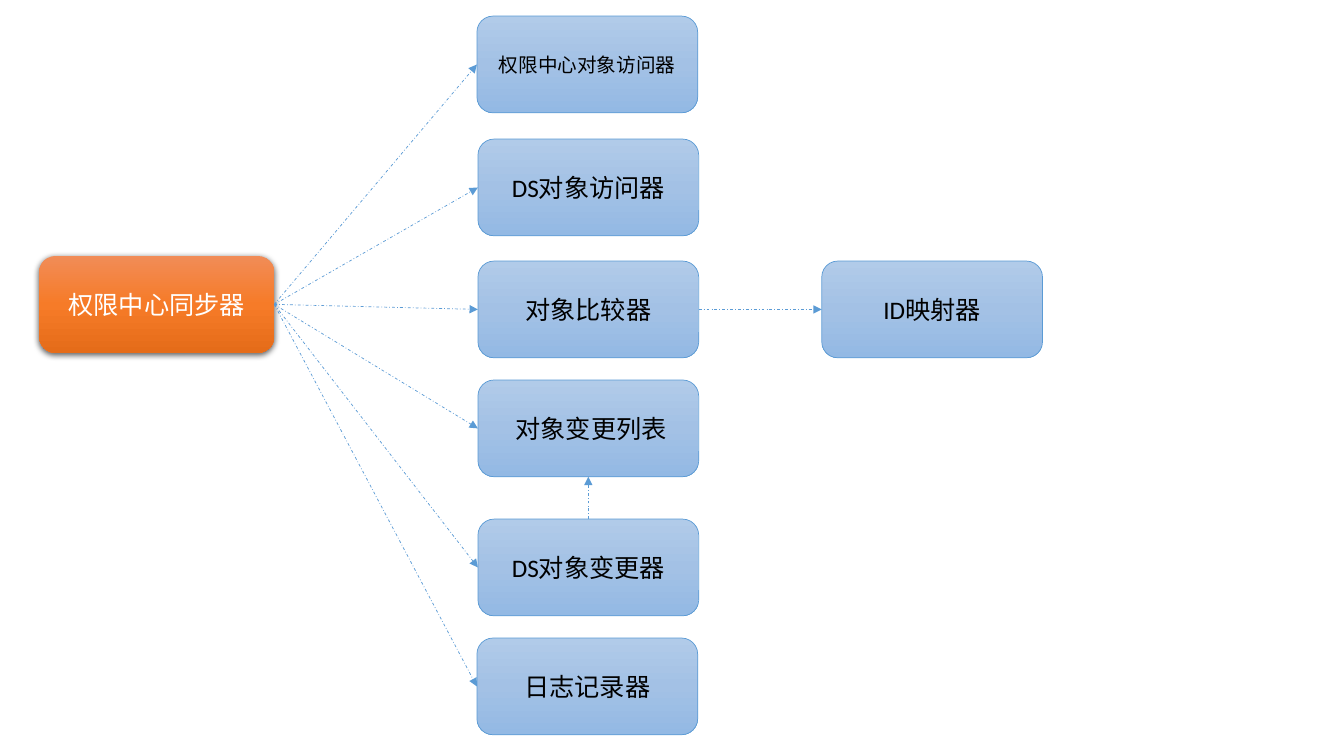
"""Build the component diagram of the permission centre synchroniser."""
from lxml.etree import SubElement
from pptx import Presentation
from pptx.dml.color import RGBColor
from pptx.enum.dml import MSO_LINE
from pptx.enum.shapes import MSO_CONNECTOR, MSO_SHAPE
from pptx.enum.text import MSO_ANCHOR, PP_ALIGN
from pptx.oxml.ns import qn
from pptx.util import Inches, Pt

COLORS = {"outline": "5B9BD5", "shadow": "000000", "light": "FFFFFF", "dark": "000000"}
GRADIENTS = {
    "orange": ("F18C57", "F67B28", "E56C19"),
    "blue": ("B1CBE9", "A3C1E5", "93B9E4"),
}
FONT = "Calibri"
BOX_WIDTH, BOX_HEIGHT = 2.19, 0.96
SYNCHRONIZER = ("权限中心同步器", 0.39, 2.54)
SYNCHRONIZER_WIDTH = 2.33
COMPONENTS = [
    ("权限中心对象访问器", 4.73, 0.16, 14),
    ("DS对象访问器", 4.74, 1.38, 18),
    ("对象比较器", 4.74, 2.59, 18),
    (" 对象变更列表", 4.74, 3.77, 18),
    ("DS对象变更器", 4.74, 5.15, 18),
    ("日志记录器", 4.73, 6.33, 18),
]
MAPPER = ("ID映射器", 8.15, 2.59)
TOP, LEFT, BOTTOM, RIGHT = range(4)


def set_gradient(shape, colors):
    shape.fill.gradient()
    shape.fill.gradient_angle = 270
    stops = shape._element.spPr.find(qn("a:gradFill")).find(qn("a:gsLst"))
    for stop in list(stops):
        stops.remove(stop)
    for index, color in enumerate(colors):
        stop = SubElement(stops, qn("a:gs"), pos=str(index * 50000))
        SubElement(stop, qn("a:srgbClr"), val=color)


def add_shadow(shape):
    effects = shape._element.spPr.find(qn("a:effectLst"))
    shadow = SubElement(
        effects, qn("a:outerShdw"), blurRad=str(Pt(4.5)), dist=str(Pt(1.5)),
        dir="5400000", algn="ctr", rotWithShape="0",
    )
    color = SubElement(shadow, qn("a:srgbClr"), val=COLORS["shadow"])
    SubElement(color, qn("a:alpha"), val="63000")


def style_line(line):
    line.color.rgb = RGBColor.from_string(COLORS["outline"])
    line.width = Pt(0.5)


def add_box(slide, text, left, top, size=18, width=BOX_WIDTH, gradient="blue", ink="dark"):
    shape = slide.shapes.add_shape(
        MSO_SHAPE.ROUNDED_RECTANGLE,
        Inches(left), Inches(top), Inches(width), Inches(BOX_HEIGHT),
    )
    shape.shadow.inherit = False
    set_gradient(shape, GRADIENTS[gradient])
    frame = shape.text_frame
    frame.word_wrap = True
    frame.vertical_anchor = MSO_ANCHOR.MIDDLE
    paragraph = frame.paragraphs[0]
    paragraph.alignment = PP_ALIGN.CENTER
    run = paragraph.add_run()
    run.text = text
    run.font.name = FONT
    run.font.size = Pt(size)
    run.font.color.rgb = RGBColor.from_string(COLORS[ink])
    return shape


def add_component(slide, *content):
    shape = add_box(slide, *content)
    style_line(shape.line)
    return shape


def add_arrow(slide, source, source_side, target, target_side):
    arrow = slide.shapes.add_connector(MSO_CONNECTOR.STRAIGHT, 0, 0, 0, 0)
    arrow.begin_connect(source, source_side)
    arrow.end_connect(target, target_side)
    style_line(arrow.line)
    arrow.line.dash_style = MSO_LINE.DASH_DOT
    properties = arrow._element.spPr
    SubElement(properties.find(qn("a:ln")), qn("a:tailEnd"), type="triangle")
    SubElement(properties, qn("a:effectLst"))


def main():
    presentation = Presentation()
    presentation.slide_width = Inches(13.33)
    presentation.slide_height = Inches(7.5)
    slide = presentation.slides.add_slide(presentation.slide_layouts[6])

    synchronizer = add_box(
        slide, *SYNCHRONIZER, width=SYNCHRONIZER_WIDTH, gradient="orange", ink="light"
    )
    synchronizer.line.fill.background()
    add_shadow(synchronizer)
    components = [add_component(slide, *content) for content in COMPONENTS]
    mapper = add_component(slide, *MAPPER)

    for component in components:
        add_arrow(slide, synchronizer, RIGHT, component, LEFT)
    comparer, change_list, changer = components[2:5]
    add_arrow(slide, comparer, RIGHT, mapper, LEFT)
    add_arrow(slide, changer, TOP, change_list, BOTTOM)

    presentation.save("out.pptx")


if __name__ == "__main__":
    main()
